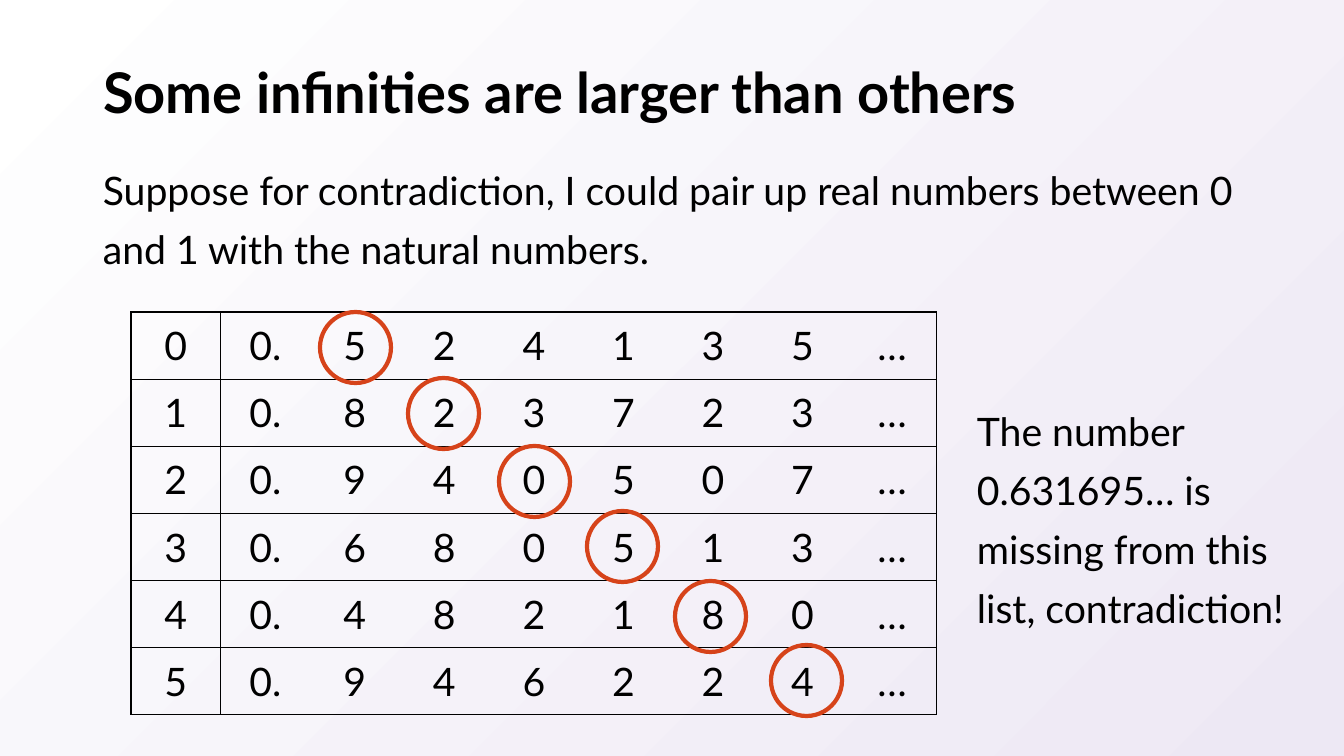
from lxml import etree
from pptx import Presentation
from pptx import util as u
from pptx.dml.color import RGBColor
from pptx.enum import shapes, text
from pptx.oxml import ns

DIGITS = ["524135", "823723", "940507", "680513", "482180", "946224"]
CIRCLES = [(320, 312), (408, 378), (499, 446), (587, 511), (675, 581), (771, 645)]


def px(length):
    """Turn slide pixels into EMU."""
    return u.Emu(round(length * 12192000 / 1344))


def colour(code):
    """Turn a hex string into a colour."""
    return RGBColor.from_string(code)


class Slide:
    """Hold the style and the current slide."""

    font = "Lato"
    ink = "000000"
    accent = "D6431A"

    def __init__(self, deck):
        """Add a title-only slide with a diagonal gradient."""
        self.page = deck.slides.add_slide(deck.slide_layouts[5])
        fill = self.page.background.fill
        fill.gradient()
        fill.gradient_angle = 315
        for stop, position, code in zip(fill.gradient_stops, (0, 1), ("FFFFFF", "EDE8F4")):
            stop.position = position
            stop.color.rgb = colour(code)

    def add_words(self, para, words, size=28, bold=False, align=text.PP_ALIGN.LEFT):
        """Add one styled run to a paragraph."""
        para.alignment = align
        span = para.add_run()
        span.text = words
        span.font.name = self.font
        span.font.size = u.Pt(size)
        span.font.bold = bold
        span.font.color.rgb = colour(self.ink)

    def title(self, words, left, top, width, height):
        """Place and fill the title."""
        box = self.page.shapes.title
        box.left, box.top, box.width, box.height = map(px, (left, top, width, height))
        box.text_frame.vertical_anchor = text.MSO_ANCHOR.MIDDLE
        para = box.text_frame.paragraphs[0]
        para.line_spacing = 0.9
        self.add_words(para, words, 40, True)

    def body(self, words, left, top, width, height, grow=False):
        """Add a wrapped paragraph of text."""
        box = self.page.shapes.add_textbox(*map(px, (left, top, width, height)))
        frame = box.text_frame
        frame.word_wrap = True
        if grow:
            frame.auto_size = text.MSO_AUTO_SIZE.SHAPE_TO_FIT_TEXT
        para = frame.paragraphs[0]
        para.line_spacing = 1.25
        para.space_before = u.Pt(24)
        self.add_words(para, words)

    def border(self, cell, side, visible):
        """Draw or hide one side of a cell."""
        line = etree.SubElement(cell._tc.get_or_add_tcPr(), ns.qn(f"a:ln{side}"), w="12700")
        if visible:
            fill = etree.SubElement(line, ns.qn("a:solidFill"))
            etree.SubElement(fill, ns.qn("a:srgbClr"), val=self.ink)
        else:
            etree.SubElement(line, ns.qn("a:noFill"))

    def table(self, rows, left, top, width, height):
        """Add a grid ruled between rows and around the first column."""
        count = len(rows[0])
        frame = self.page.shapes.add_table(len(rows), count, *map(px, (left, top, width, height)))
        grid = frame.table
        grid.first_row = grid.horz_banding = False
        for column in grid.columns:
            column.width = px(width / count)
        for row, values in zip(grid.rows, rows):
            row.height = px(height / len(rows))
            for index, (cell, value) in enumerate(zip(row.cells, values)):
                cell.margin_left = cell.margin_right = px(20)
                cell.margin_top = cell.margin_bottom = px(10)
                self.border(cell, "L", index in (0, 1))
                self.border(cell, "R", index in (0, count - 1))
                self.border(cell, "T", True)
                self.border(cell, "B", True)
                cell.fill.background()
                self.add_words(cell.text_frame.paragraphs[0], value, align=text.PP_ALIGN.CENTER)

    def circle(self, left, top, size):
        """Add an outlined circle."""
        ring = self.page.shapes.add_shape(
            shapes.MSO_SHAPE.OVAL, px(left), px(top), px(size), px(size))
        ring.shadow.inherit = False
        ring.fill.background()
        ring.line.color.rgb = colour(self.accent)
        ring.line.width = u.Pt(3)


def main():
    """Build and save the deck."""
    deck = Presentation()
    deck.slide_width, deck.slide_height = px(1344), px(756)
    slide = Slide(deck)
    slide.title("Some infinities are larger than others", 93, 40, 1159, 110)
    slide.body("Suppose for contradiction, I could pair up real numbers between 0 "
               "and 1 with the natural numbers.", 93, 150, 1159, 530)
    rows = [[str(index), "0.", *digits, "…"] for index, digits in enumerate(DIGITS)]
    slide.table(rows, 131, 312, 806, 403)
    for left, top in CIRCLES:
        slide.circle(left, top, 71)
    slide.body("The number 0.631695… is missing from this list, contradiction!",
               967, 391, 343, 241, grow=True)
    deck.save("out.pptx")


if __name__ == "__main__":
    main()
